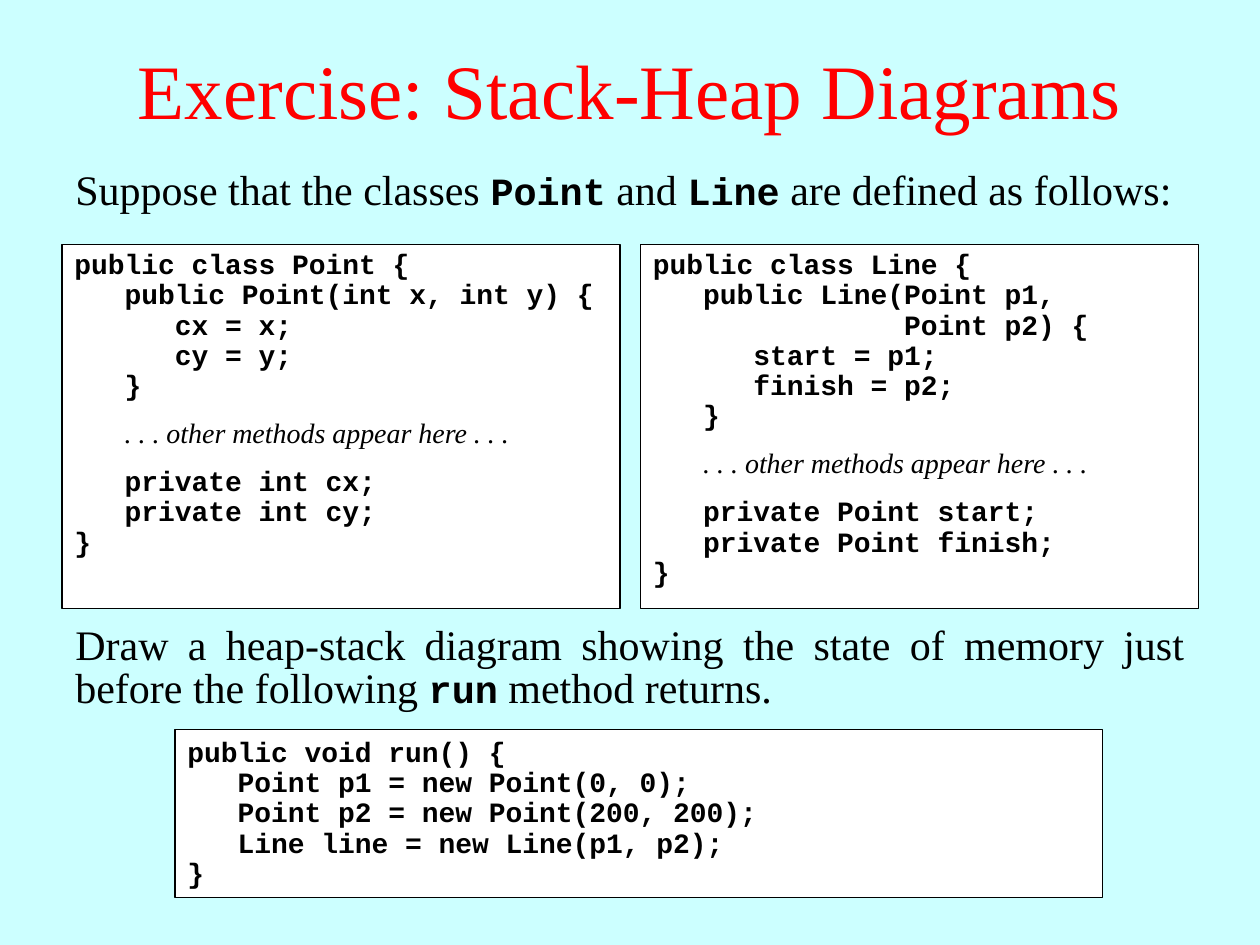
from pptx import Presentation
from pptx.dml.color import RGBColor
from pptx.enum import shapes, text
from pptx.util import Pt

SERIF, MONO = "Times New Roman", "Courier New"
NOTE = ". . . other methods appear here . . ."

RUN_CODE = """public void run() {
   Point p1 = new Point(0, 0);
   Point p2 = new Point(200, 200);
   Line line = new Line(p1, p2);
}"""

POINT_CODE = f"""public class Point {{
   public Point(int x, int y) {{
      cx = x;
      cy = y;
   }}
   {NOTE}
   private int cx;
   private int cy;
}}"""

LINE_CODE = f"""public class Line {{
   public Line(Point p1,
               Point p2) {{
      start = p1;
      finish = p2;
   }}
   {NOTE}
   private Point start;
   private Point finish;
}}"""


def color(value):
    return RGBColor.from_string(value)


class ExercisePage:
    """Draws the elements of an exercise slide in one style."""

    def __init__(self, deck):
        self.page = deck.slides.add_slide(deck.slide_layouts[5])
        fill = self.page.background.fill
        fill.solid()
        fill.fore_color.rgb = color("CCFFFF")

    def style(self, span, face, size, ink="000000", bold=False, italic=False):
        font = span.font
        font.name, font.size, font.bold, font.italic = face, Pt(size), bold, italic
        font.color.rgb = color(ink)

    def add_span(self, para, words, face, size, **options):
        span = para.add_run()
        span.text = words
        self.style(span, face, size, **options)

    def title(self, words, left, top, width, height):
        box = self.page.shapes.title
        box.left, box.top, box.width, box.height = map(Pt, (left, top, width, height))
        frame = box.text_frame
        frame.text = words
        frame.auto_size = text.MSO_AUTO_SIZE.NONE
        frame.vertical_anchor = text.MSO_ANCHOR.MIDDLE
        para = frame.paragraphs[0]
        para.alignment = text.PP_ALIGN.CENTER
        self.style(para.runs[0], SERIF, 44, ink="FF0000")

    def prose(self, pieces, left, top, width, height, spacing=1.0):
        box = self.page.shapes.add_textbox(*map(Pt, (left, top, width, height)))
        frame = box.text_frame
        frame.word_wrap = True
        frame.auto_size = text.MSO_AUTO_SIZE.SHAPE_TO_FIT_TEXT
        para = frame.paragraphs[0]
        para.alignment = text.PP_ALIGN.JUSTIFY
        para.line_spacing = spacing
        for index, words in enumerate(pieces):
            if index % 2:
                self.add_span(para, words, MONO, 22, bold=True)
            else:
                self.add_span(para, words, SERIF, 24)

    def code(self, source, left, top, width, height, anchor=text.MSO_ANCHOR.TOP):
        box = self.page.shapes.add_shape(
            shapes.MSO_SHAPE.RECTANGLE, *map(Pt, (left, top, width, height)))
        box.shadow.inherit = False
        box.fill.solid()
        box.fill.fore_color.rgb = color("FFFFFF")
        box.line.color.rgb = color("000000")
        box.line.width = Pt(0.75)
        frame = box.text_frame
        frame.word_wrap = True
        frame.vertical_anchor = anchor
        after_note = False
        for index, line in enumerate(source.splitlines()):
            para = frame.add_paragraph() if index else frame.paragraphs[0]
            para.alignment = text.PP_ALIGN.LEFT
            para.line_spacing = 0.9
            before, note, _ = line.partition(NOTE)
            self.add_span(para, before, MONO, 16, bold=True)
            if note:
                self.add_span(para, note, SERIF, 16, italic=True)
            if note or after_note:
                para.space_before = Pt(10.2)
            after_note = bool(note)


def main():
    deck = Presentation()
    deck.slide_width, deck.slide_height = Pt(720), Pt(540)
    page = ExercisePage(deck)
    page.title("Exercise: Stack-Heap Diagrams", 0, 5.8, 720, 90)
    page.code(RUN_CODE, 100, 417, 530, 96, text.MSO_ANCHOR.MIDDLE)
    for column, source in enumerate((POINT_CODE, LINE_CODE)):
        page.code(source, 35.4 + column * 330.6, 139.7, 319, 208)
    page.prose(("Suppose that the classes ", "Point", " and ", "Line",
                " are defined as follows:"), 36, 90, 648, 36)
    page.prose(("Draw a heap-stack diagram showing the state of memory just "
                "before the following ", "run", " method returns."),
               36, 354.2, 648, 56, spacing=0.85)
    deck.save("out.pptx")


if __name__ == "__main__":
    main()
